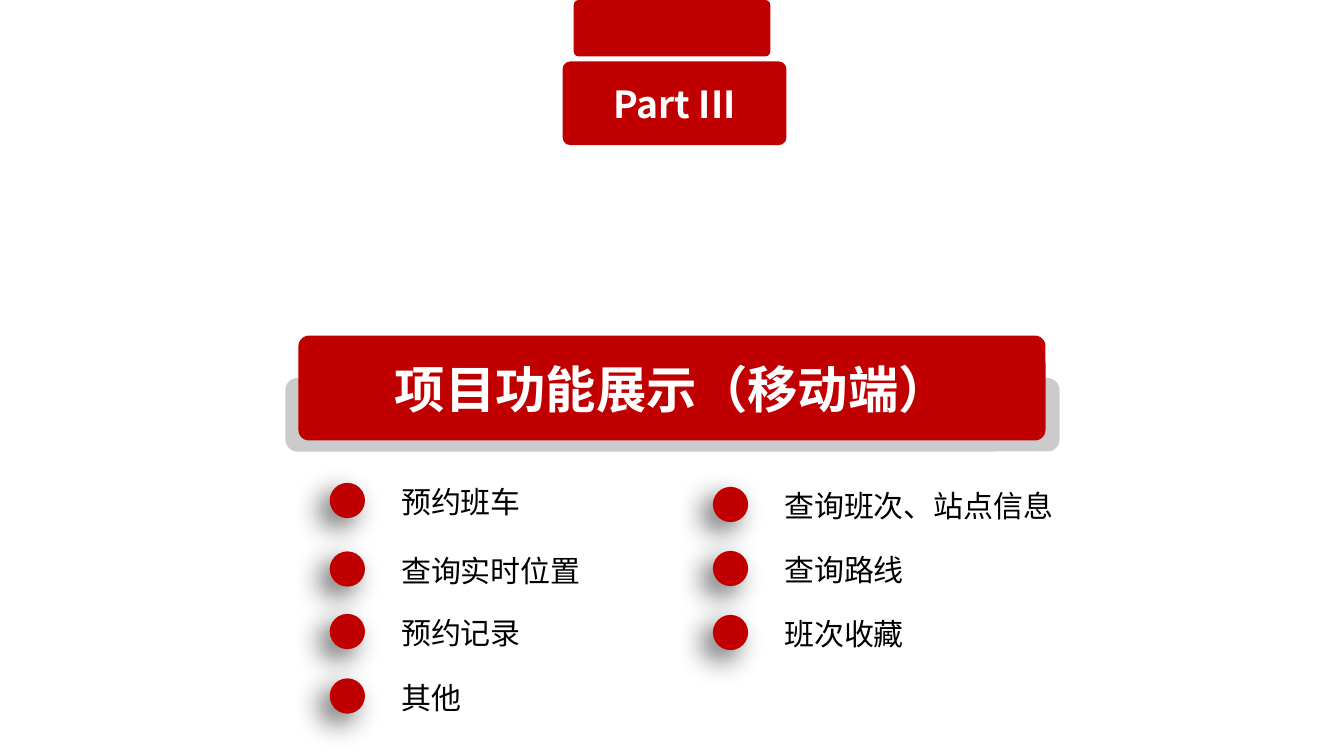
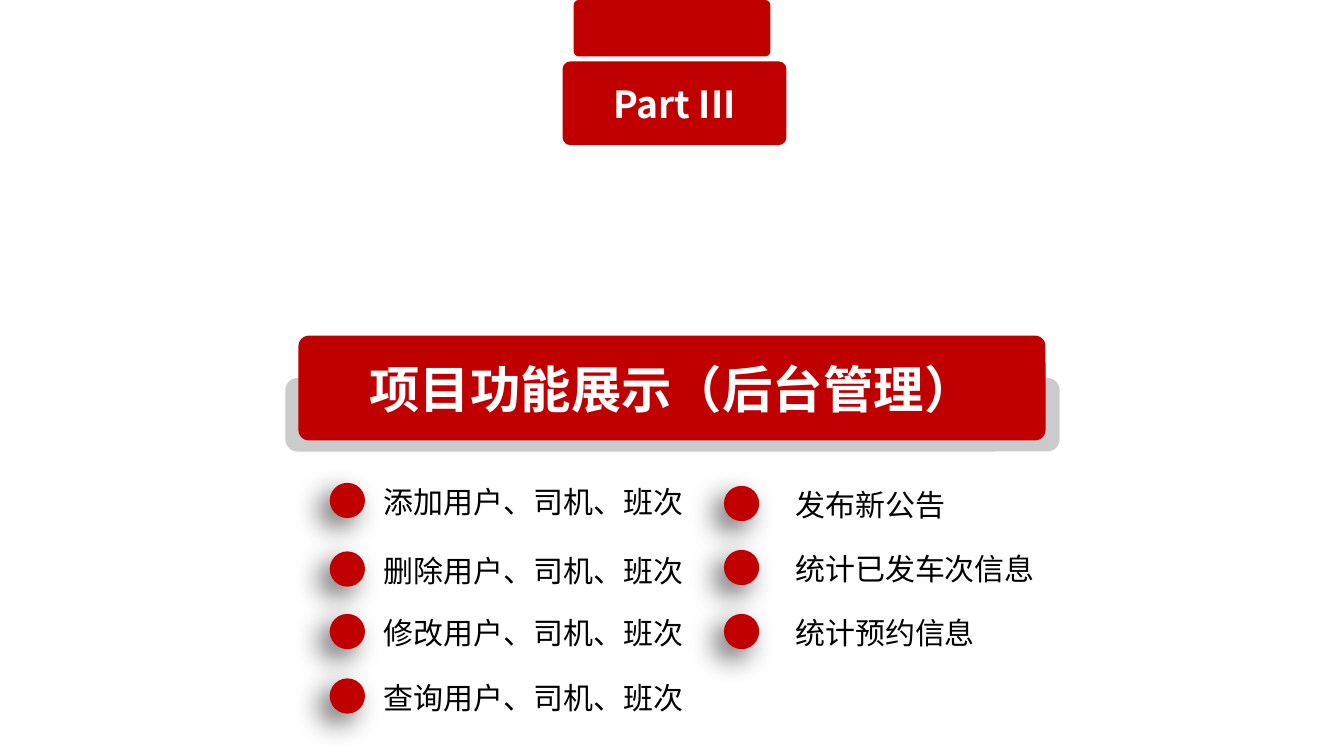
from lxml import etree
from pptx import Presentation
from pptx.dml.color import RGBColor
from pptx.enum.shapes import MSO_SHAPE
from pptx.enum.text import MSO_ANCHOR, MSO_AUTO_SIZE, PP_ALIGN
from pptx.oxml.ns import qn
from pptx.util import Inches, Pt

ROUNDED = MSO_SHAPE.ROUNDED_RECTANGLE
OVAL = MSO_SHAPE.OVAL
MIDDLE = MSO_ANCHOR.MIDDLE
FIT_SHAPE = MSO_AUTO_SIZE.SHAPE_TO_FIT_TEXT
NO_FIT = MSO_AUTO_SIZE.NONE
CENTER = PP_ALIGN.CENTER
LEFT = PP_ALIGN.LEFT

FONT = "Noto Sans CJK SC"
COLORS = {"red": "C00000", "gray": "CBCBCB", "white": "FFFFFF", "black": "000000"}
TITLE_BOX = (2.96, 3.33, 7.41, 1.04)
DOT = 0.35
LABEL_LIFT = 0.04
LABEL_WIDTH = 3.78
LABEL_HEIGHT = 0.46
LEFT_DOT_X = 3.27
LEFT_TOPS = (4.79, 5.47, 6.09, 6.73)
RIGHT_STEP = 0.635
RIGHT_LABEL_GAP = 0.61

SECTIONS = [
    {
        "title": "项目功能展示（移动端）",
        "left": ["预约班车", "查询实时位置", "预约记录", "其他"],
        "left_label_x": 3.88,
        "right": ["查询班次、站点信息", "查询路线", "班次收藏"],
        "right_dot": (7.07, 4.83),
    },
    {
        "title": "项目功能展示（后台管理）",
        "left": [f"{action}用户、司机、班次" for action in ("添加", "删除", "修改", "查询")],
        "left_label_x": 3.71,
        "right": ["发布新公告", "统计已发车次信息", "统计预约信息"],
        "right_dot": (7.18, 4.82),
    },
]


def rgb(name):
    return RGBColor.from_string(COLORS[name])


def write(tf, text, size, color, bold=False, align=LEFT):
    tf.word_wrap = True
    p = tf.paragraphs[0]
    p.alignment = align
    r = p.add_run()
    r.text = text
    r.font.size = Pt(size)
    r.font.bold = bold
    r.font.color.rgb = rgb(color)
    r.font.name = FONT
    etree.SubElement(r.font._element, qn("a:ea"), typeface=FONT)


def add_plate(s, box, color, shape=ROUNDED, radius=None):
    sp = s.shapes.add_shape(shape, *map(Inches, box))
    sp.shadow.inherit = False
    sp.fill.solid()
    sp.fill.fore_color.rgb = rgb(color)
    sp.line.fill.background()
    if radius is not None:
        sp.adjustments[0] = radius
    return sp


def add_dot(s, x, y):
    sp = add_plate(s, (x, y, DOT, DOT), "red", OVAL)
    effects = sp.element.spPr.find(qn("a:effectLst"))
    shadow = etree.SubElement(
        effects, qn("a:outerShdw"), blurRad=str(Pt(20)), dist=str(Pt(10)),
        dir=str(135 * 60000), algn="tr", rotWithShape="0")
    color = etree.SubElement(shadow, qn("a:srgbClr"), val=COLORS["black"])
    etree.SubElement(color, qn("a:alpha"), val="60000")


def add_item(s, dot_x, label_x, y, text):
    add_dot(s, dot_x, y)
    box = (label_x, y - LABEL_LIFT, LABEL_WIDTH, LABEL_HEIGHT)
    tf = s.shapes.add_textbox(*map(Inches, box)).text_frame
    tf.auto_size = FIT_SHAPE
    write(tf, text, 21.4, "black")


def add_title(s, text):
    add_plate(s, (2.83, 3.75, 7.68, 0.73), "gray")
    plate = add_plate(s, TITLE_BOX, "red", radius=0.1)
    title = s.shapes.title
    title.left, title.top, title.width, title.height = map(Inches, TITLE_BOX)
    tf = title.text_frame
    tf.auto_size = NO_FIT
    tf.vertical_anchor = MIDDLE
    write(tf, text, 36, "white", True, CENTER)
    plate.element.addnext(title.element)


def add_part_tab(s, text):
    add_plate(s, (5.69, 0, 1.95, 0.56), "red", radius=0.09)
    tab = add_plate(s, (5.58, 0.61, 2.22, 0.83), "red", radius=0.09)
    tab.text_frame.vertical_anchor = MIDDLE
    write(tab.text_frame, text, 26.6, "white", True, CENTER)


def add_section(prs, section):
    s = prs.slides.add_slide(prs.slide_layouts.get_by_name("Title Only"))
    add_title(s, section["title"])
    add_part_tab(s, "Part III")
    for y, text in zip(LEFT_TOPS, section["left"]):
        add_item(s, LEFT_DOT_X, section["left_label_x"], y, text)
    x, top = section["right_dot"]
    for i, text in enumerate(section["right"]):
        add_item(s, x, x + RIGHT_LABEL_GAP, top + i * RIGHT_STEP, text)


def main():
    prs = Presentation()
    prs.slide_width = Inches(13.33)
    prs.slide_height = Inches(7.5)
    for section in SECTIONS:
        add_section(prs, section)
    prs.save("out.pptx")


if __name__ == "__main__":
    main()
